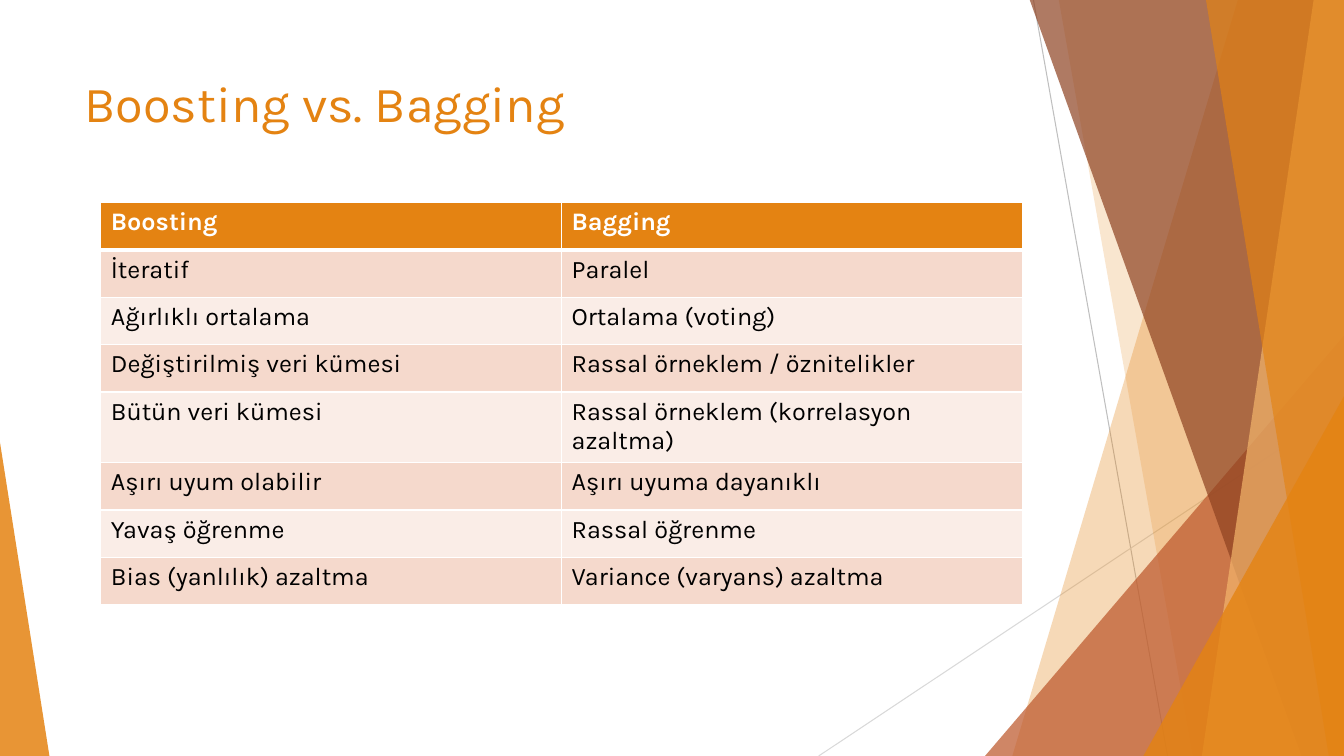
from lxml import etree
from pptx import Presentation
from pptx.dml.color import RGBColor
from pptx.enum import shapes, text
from pptx.oxml import ns
from pptx.util import Inches, Pt

ORANGE = RGBColor(0xE4, 0x83, 0x12)
LIGHT_ORANGE = RGBColor(0xF3, 0xB5, 0x6C)
RUST = RGBColor(0xBD, 0x58, 0x2C)
BROWN = RGBColor(0x8E, 0x42, 0x21)
DARK_BAND = RGBColor(0xF5, 0xD9, 0xCC)
LIGHT_BAND = RGBColor(0xFA, 0xED, 0xE7)
GRAY = RGBColor(0xBF, 0xBF, 0xBF)
LIGHT_GRAY = RGBColor(0xD9, 0xD9, 0xD9)
WHITE = RGBColor(0xFF, 0xFF, 0xFF)
BLACK = RGBColor(0, 0, 0)
WIDTH, HEIGHT = 13.33, 7.5


def write(frame, words, size=18, color=BLACK, bold=False):
    run = frame.paragraphs[0].add_run()
    run.text = words
    run.font.name = "Karla"
    run.font.size = Pt(size)
    run.font.color.rgb = color
    run.font.bold = bold


def paint(shape, color, opacity):
    shape.shadow.inherit = False
    shape.line.fill.background()
    shape.fill.solid()
    shape.fill.fore_color.rgb = color
    tint = shape.fill._xPr.find(".//" + ns.qn("a:srgbClr"))
    etree.SubElement(tint, ns.qn("a:alpha"), val=str(opacity * 1000))


deck = Presentation()
deck.slide_width = Inches(WIDTH)
deck.slide_height = Inches(HEIGHT)
slide = deck.slides.add_slide(deck.slide_layouts[6])

for x1, y1, x2, y2, color in [
    (10.25, 0, 11.58, HEIGHT, GRAY),
    (WIDTH, 4.03, 8.12, HEIGHT, LIGHT_GRAY),
]:
    ray = slide.shapes.add_connector(
        shapes.MSO_CONNECTOR.STRAIGHT, Inches(x1), Inches(y1), Inches(x2), Inches(y2))
    ray.line.color.rgb = color
    ray.line.width = Pt(0.75)
    etree.SubElement(ray._element.spPr, ns.qn("a:effectLst"))

facets = [
    ("beam", 12.28, 10.04, ORANGE, 30),
    ("beam", 10.5, 11.83, ORANGE, 20),
    ("peak", 9.77, 3.33, RUST, 72),
    ("beam", 10.21, 12.91, BROWN, 70),
    ("beam", 13.03, 11.92, LIGHT_ORANGE, 70),
    ("beam", 11.96, 13.18, ORANGE, 65),
    ("peak", 11.34, 3.93, ORANGE, 80),
    ("left peak", 0, 4.39, ORANGE, 85),
]
for kind, first, second, color, opacity in facets:
    if kind == "beam":
        outline = slide.shapes.build_freeform(Inches(first), Inches(-0.01))
        outline.add_line_segments([
            (Inches(WIDTH), Inches(-0.01)),
            (Inches(WIDTH), Inches(HEIGHT)),
            (Inches(second), Inches(HEIGHT)),
        ])
        facet = outline.convert_to_shape()
    else:
        span = WIDTH - first if kind == "peak" else 0.49
        facet = slide.shapes.add_shape(
            shapes.MSO_SHAPE.ISOSCELES_TRIANGLE,
            Inches(first), Inches(second), Inches(span), Inches(HEIGHT - second))
        facet.adjustments[0] = 1 if kind == "peak" else 0
    paint(facet, color, opacity)

title = slide.shapes.add_textbox(Inches(0.74), Inches(0.67), Inches(9.4), Inches(1.44))
title.text_frame.word_wrap = True
title.text_frame.vertical_anchor = text.MSO_ANCHOR.TOP
write(title.text_frame, "Boosting vs. Bagging", size=36, color=ORANGE)

comparison = [
    ("Boosting", "Bagging"),
    ("İteratif", "Paralel"),
    ("Ağırlıklı ortalama", "Ortalama (voting)"),
    ("Değiştirilmiş veri kümesi", "Rassal örneklem / öznitelikler"),
    ("Bütün veri kümesi", "Rassal örneklem (korrelasyon azaltma)"),
    ("Aşırı uyum olabilir", "Aşırı uyuma dayanıklı"),
    ("Yavaş öğrenme", "Rassal öğrenme"),
    ("Bias (yanlılık) azaltma", "Variance (varyans) azaltma"),
]
table = slide.shapes.add_table(
    len(comparison), 2, Inches(1), Inches(2.01), Inches(9.14), Inches(3.77)).table
table.horz_banding = False
for column in table.columns:
    column.width = Inches(4.57)

for r, methods in enumerate(comparison):
    table.rows[r].height = Inches(0.47)
    header = r == 0
    band = ORANGE if header else DARK_BAND if r % 2 else LIGHT_BAND
    for c, words in enumerate(methods):
        cell = table.cell(r, c)
        write(cell.text_frame, words, color=WHITE if header else BLACK, bold=header)
        borders = cell._tc.get_or_add_tcPr()
        for side in "LRTB":
            thick = (r, side) in [(0, "B"), (1, "T")]
            edge = etree.SubElement(
                borders, ns.qn("a:ln" + side), w=str(Pt(3 if thick else 1)))
            ink = etree.SubElement(edge, ns.qn("a:solidFill"))
            etree.SubElement(ink, ns.qn("a:srgbClr"), val=str(WHITE))
        cell.fill.solid()
        cell.fill.fore_color.rgb = band

deck.save("out.pptx")
